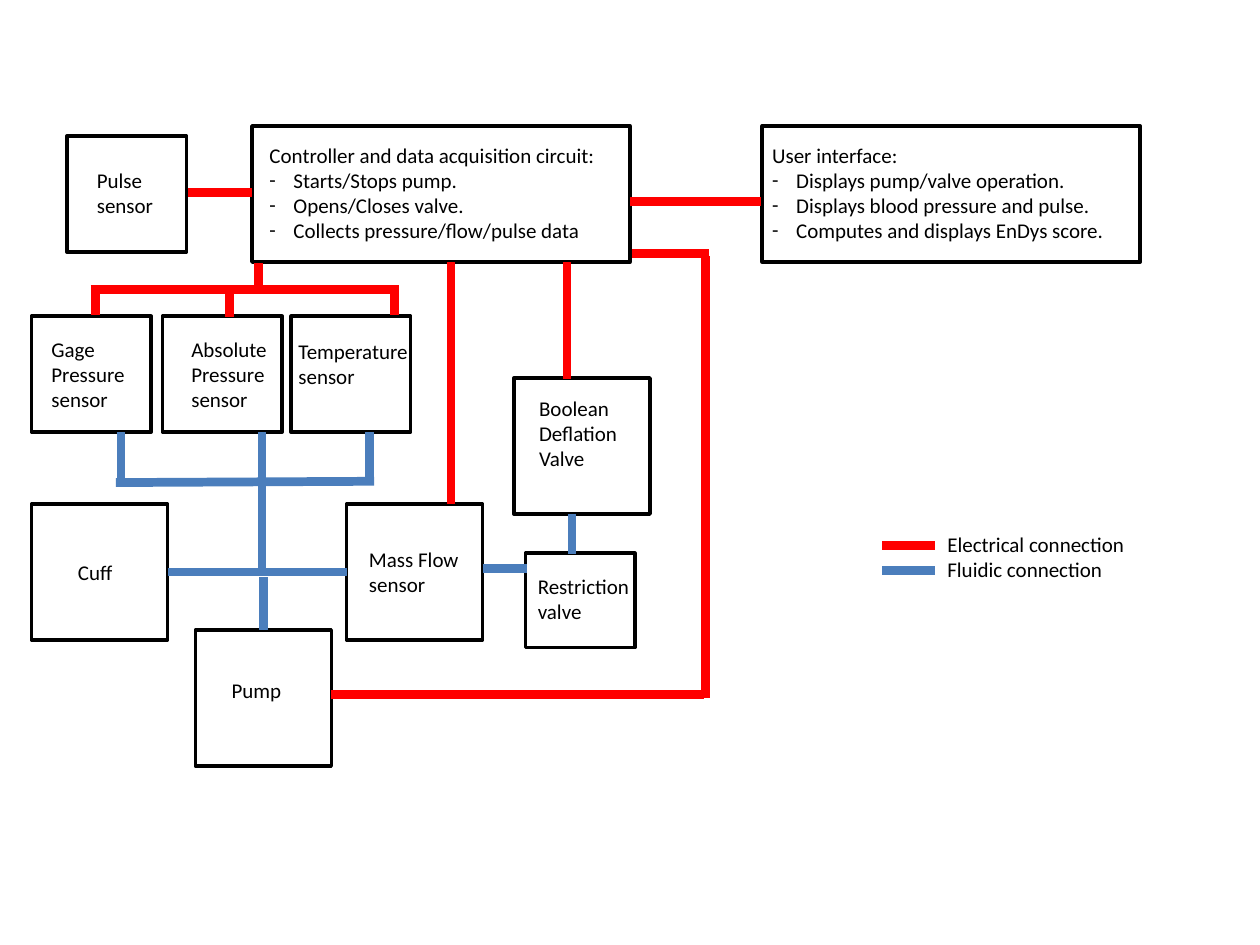
from dataclasses import dataclass

from lxml.etree import SubElement
from pptx import Presentation
from pptx.dml.color import RGBColor
from pptx.enum.shapes import MSO_CONNECTOR, MSO_SHAPE
from pptx.enum.text import MSO_AUTO_SIZE
from pptx.oxml.ns import qn
from pptx.util import Inches, Pt


@dataclass(frozen=True)
class Theme:
    """Colours, font and sizes of the diagram."""
    ink: RGBColor = RGBColor(0x00, 0x00, 0x00)
    electrical: RGBColor = RGBColor(0xFF, 0x00, 0x00)
    fluidic: RGBColor = RGBColor(0x4B, 0x7E, 0xBC)
    font: str = "Calibri"
    text_size: int = 12
    outline: int = 2
    connection: int = 5


def write_text(para, text, *, font, size, color, bullet=None):
    """Write one formatted span, with an optional hanging bullet."""
    span = para.add_run()
    span.text = text
    span.font.name = font
    span.font.size = Pt(size)
    span.font.color.rgb = color
    if bullet:
        properties = para._p.get_or_add_pPr()
        properties.set("marL", str(Inches(0.19)))
        properties.set("indent", str(Inches(-0.19)))
        SubElement(properties, qn("a:buFont"), typeface=font)
        SubElement(properties, qn("a:buChar"), char=bullet)


class Diagram:
    """Draws diagram elements on one slide in one style."""

    def __init__(self, slide, theme):
        """Keep the slide and its theme."""
        self.slide = slide
        self.theme = theme

    def block(self, left, top, width, height):
        """Add an outlined rectangle."""
        box = self.slide.shapes.add_shape(
            MSO_SHAPE.RECTANGLE, Inches(left), Inches(top), Inches(width), Inches(height))
        box.shadow.inherit = False
        box.fill.background()
        box.line.color.rgb = self.theme.ink
        box.line.width = Pt(self.theme.outline)

    def label(self, left, top, width, height, lines, bulleted=False, wrap=False):
        """Add a text box; bulleted lines follow a plain heading."""
        box = self.slide.shapes.add_textbox(
            Inches(left), Inches(top), Inches(width), Inches(height))
        frame = box.text_frame
        frame.word_wrap = wrap
        frame.auto_size = MSO_AUTO_SIZE.SHAPE_TO_FIT_TEXT
        for index, line in enumerate(lines):
            para = frame.add_paragraph() if index else frame.paragraphs[0]
            write_text(para, line, font=self.theme.font, size=self.theme.text_size,
                       color=self.theme.ink, bullet="-" if bulleted and index else None)

    def connect(self, color, start_x, start_y, end_x, end_y):
        """Add a thick straight connection."""
        line = self.slide.shapes.add_connector(
            MSO_CONNECTOR.STRAIGHT, Inches(start_x), Inches(start_y),
            Inches(end_x), Inches(end_y))
        line.line.color.rgb = color
        line.line.width = Pt(self.theme.connection)
        SubElement(line._element.spPr, qn("a:effectLst"))


UNIT = (1.08, 1.08)
SENSOR = (0.95, 0.92)
PANEL = (3, 1.08)
BLOCKS = [
    (2, 1, *PANEL), (6.05, 1, *PANEL),
    (0.25, 4, *UNIT), (2.75, 4, *UNIT), (4.08, 3, *UNIT), (1.55, 5, *UNIT),
    (0.53, 1.08, *SENSOR), (0.25, 2.51, *SENSOR), (1.29, 2.51, *SENSOR),
    (2.31, 2.51, *SENSOR), (4.17, 4.39, 0.87, 0.75),
]

LABELS = [
    (0.52, 4.39, 0.48, 0.3, ["Cuff"]),
    (2.83, 4.29, 0.92, 0.5, ["Mass Flow", "sensor"]),
    (1.74, 5.33, 0.6, 0.3, ["Pump"]),
    (4.18, 3.09, 0.82, 0.71, ["Boolean", "Deflation", "Valve"]),
    (0.31, 2.62, 0.79, 0.71, ["Gage", "Pressure", "sensor"]),
    (1.42, 2.62, 0.81, 0.71, ["Absolute", "Pressure", "sensor"]),
    (2.27, 2.64, 1.08, 0.5, ["Temperature", "sensor"]),
    (0.67, 1.28, 0.65, 0.5, ["Pulse", "sensor"]),
    (4.17, 4.5, 0.93, 0.5, ["Restriction", "valve"]),
]

PANEL_TEXTS = [
    (2.04, ["Controller and data acquisition circuit:", "Starts/Stops pump.",
            "Opens/Closes valve.", "Collects pressure/flow/pulse data"]),
    (6.03, ["User interface:", "Displays pump/valve operation.",
            "Displays blood pressure and pulse.", "Computes and displays EnDys score."]),
]

ELECTRICAL = [
    (1.49, 1.53, 2, 1.53), (5, 1.6, 6.04, 1.6),
    (3.58, 2.08, 3.58, 4), (4.5, 2.08, 4.5, 3.01),
    (5.02, 2.01, 5.63, 2.01), (5.6, 2.03, 5.6, 5.54), (2.63, 5.51, 5.59, 5.51),
    (2.05, 2.09, 2.05, 2.29), (0.72, 2.3, 3.17, 2.3),
    (0.76, 2.3, 0.76, 2.5), (1.82, 2.32, 1.82, 2.52), (3.13, 2.3, 3.13, 2.5),
]

FLUIDIC = [
    (1.33, 4.54, 2.75, 4.54), (3.83, 4.51, 4.18, 4.51), (4.54, 4.08, 4.54, 4.4),
    (2.08, 3.83, 2.08, 4.52), (2.09, 4.58, 2.09, 5), (0.92, 3.83, 2.97, 3.82),
    *((x, 3.43, x, 3.85) for x in (0.96, 2.08, 2.93)),
]


def main():
    """Build and save the system diagram."""
    deck = Presentation()
    deck.slide_width, deck.slide_height = Inches(10), Inches(7.5)
    page = deck.slides.add_slide(deck.slide_layouts[6])
    theme = Theme()
    diagram = Diagram(page, theme)

    for block in BLOCKS:
        diagram.block(*block)
    for color, routes in ((theme.electrical, ELECTRICAL), (theme.fluidic, FLUIDIC)):
        for route in routes:
            diagram.connect(color, *route)
    for label in LABELS:
        diagram.label(*label)
    for left, lines in PANEL_TEXTS:
        diagram.label(left, 1.08, 2.92, 0.91, lines, bulleted=True, wrap=True)

    for y, color in ((4.33, theme.electrical), (4.53, theme.fluidic)):
        diagram.connect(color, 7, y, 7.42, y)
    diagram.label(7.42, 4.17, 1.65, 0.5,
                  ["Electrical connection", "Fluidic connection"], wrap=True)
    deck.save("out.pptx")


main()
